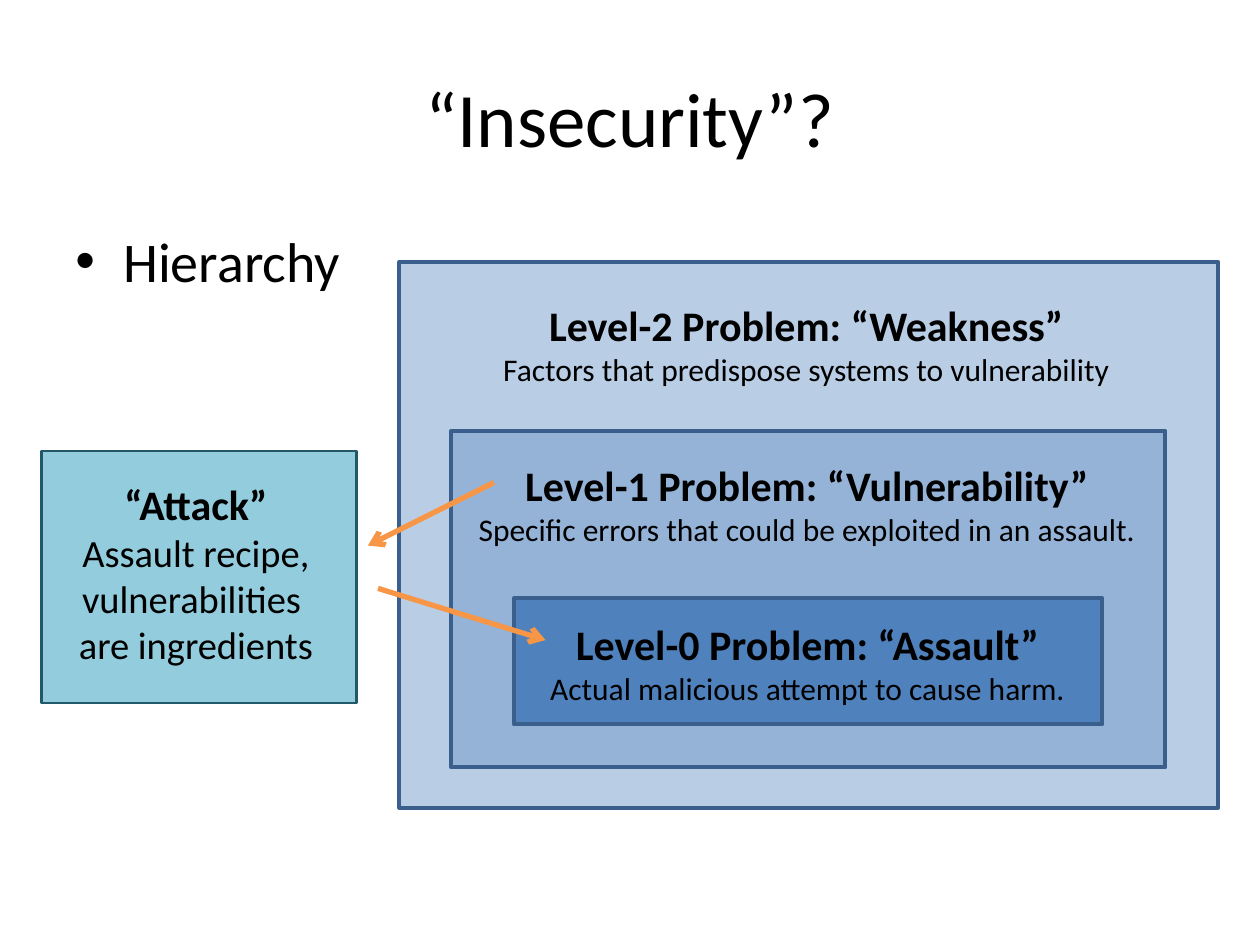
from dataclasses import dataclass

from lxml import etree
from pptx import Presentation
from pptx.dml.color import RGBColor
from pptx.enum.shapes import MSO_CONNECTOR, MSO_SHAPE
from pptx.enum.text import MSO_ANCHOR, MSO_AUTO_SIZE, PP_ALIGN
from pptx.oxml.ns import qn
from pptx.slide import Slide
from pptx.text.text import TextFrame, _Paragraph
from pptx.util import Inches, Pt

RECTANGLE = MSO_SHAPE.RECTANGLE
STRAIGHT = MSO_CONNECTOR.STRAIGHT
CENTER, LEFT = PP_ALIGN.CENTER, PP_ALIGN.LEFT
MIDDLE, TOP = MSO_ANCHOR.MIDDLE, MSO_ANCHOR.TOP
FIT_SHAPE, NO_FIT = MSO_AUTO_SIZE.SHAPE_TO_FIT_TEXT, MSO_AUTO_SIZE.NONE


@dataclass(frozen=True)
class Theme:
    font: str = "Calibri"
    text: str = "000000"
    attack_fill: str = "93CDDD"
    attack_line: str = "215968"
    level_fills: tuple[str, ...] = ("4F81BD", "95B3D7", "B9CDE5")
    level_line: str = "3A5F8C"
    arrow: str = "F79646"
    title_size: float = 44
    bullet_size: float = 32
    heading_size: float = 24
    attack_size: float = 22
    detail_size: float = 18
    attack_width: float = 1.5
    level_width: float = 2.25
    arrow_width: float = 3


@dataclass(frozen=True)
class Area:
    left: float
    top: float
    width: float
    height: float

    def lengths(self) -> list[int]:
        return [Inches(value) for value in (self.left, self.top, self.width, self.height)]


@dataclass(frozen=True)
class Panel:
    area: Area
    fill: str
    line: str
    line_width: float
    label_area: Area
    heading: str
    details: tuple[str, ...]
    detail_size: float


@dataclass(frozen=True)
class Arrow:
    start: tuple[float, float]
    end: tuple[float, float]


THEME = Theme()


def level_panel(level: int, area: Area, label_area: Area, name: str, detail: str) -> Panel:
    return Panel(area, THEME.level_fills[level], THEME.level_line, THEME.level_width,
                 label_area, f"Level-{level} Problem: “{name}”", (detail,), THEME.detail_size)


PANELS = (
    Panel(Area(0.33, 3.58, 2.5, 2), THEME.attack_fill, THEME.attack_line, THEME.attack_width,
          Area(0.5, 3.75, 2.11, 1.62), "“Attack”",
          ("Assault recipe,", "vulnerabilities ", "are ingredients"), THEME.attack_size),
    level_panel(2, Area(3.17, 2.08, 6.5, 4.33), Area(3.82, 2.33, 5.16, 0.81),
                "Weakness", "Factors that predispose systems to vulnerability"),
    level_panel(1, Area(3.58, 3.42, 5.67, 2.67), Area(3.67, 3.6, 5.47, 0.81),
                "Vulnerability", "Specific errors that could be exploited in an assault."),
    level_panel(0, Area(4.08, 4.75, 4.67, 1), Area(4.21, 4.86, 4.4, 0.81),
                "Assault", "Actual malicious attempt to cause harm."),
)
ARROWS = (Arrow((3.92, 3.83), (2.92, 4.33)), Arrow((3, 4.67), (4.33, 5.08)))


def add_span(para: _Paragraph, text: str, size: float, bold: bool = False) -> None:
    span = para.add_run()
    span.text = text
    span.font.name = THEME.font
    span.font.size = Pt(size)
    span.font.bold = bold
    span.font.color.rgb = RGBColor.from_string(THEME.text)


def add_text_frame(slide: Slide, area: Area, wrap: bool, anchor: MSO_ANCHOR = TOP) -> TextFrame:
    frame = slide.shapes.add_textbox(*area.lengths()).text_frame
    frame.word_wrap = wrap
    frame.auto_size = NO_FIT if wrap else FIT_SHAPE
    frame.vertical_anchor = anchor
    return frame


def add_title(slide: Slide, text: str) -> None:
    para = add_text_frame(slide, Area(0.5, 0.3, 9, 1.25), True, MIDDLE).paragraphs[0]
    para.alignment = CENTER
    add_span(para, text, THEME.title_size)


def add_bullet(slide: Slide, text: str) -> None:
    para = add_text_frame(slide, Area(0.5, 1.75, 9, 4.95), True).paragraphs[0]
    para.alignment = LEFT
    properties = para._p.get_or_add_pPr()
    properties.set("marL", str(Inches(0.38)))
    properties.set("indent", str(Inches(-0.38)))
    etree.SubElement(properties, qn("a:buFont"), typeface="Arial")
    etree.SubElement(properties, qn("a:buChar"), char="•")
    add_span(para, text, THEME.bullet_size)


def add_panel(slide: Slide, panel: Panel) -> None:
    box = slide.shapes.add_shape(RECTANGLE, *panel.area.lengths())
    box.shadow.inherit = False
    box.fill.solid()
    box.fill.fore_color.rgb = RGBColor.from_string(panel.fill)
    box.line.color.rgb = RGBColor.from_string(panel.line)
    box.line.width = Pt(panel.line_width)


def add_label(slide: Slide, panel: Panel) -> None:
    frame = add_text_frame(slide, panel.label_area, False)
    heading = frame.paragraphs[0]
    heading.alignment = CENTER
    add_span(heading, panel.heading, THEME.heading_size, bold=True)
    detail = frame.add_paragraph()
    detail.alignment = CENTER
    for index, line in enumerate(panel.details):
        if index:
            detail.add_line_break()
        add_span(detail, line, panel.detail_size)


def add_arrow(slide: Slide, arrow: Arrow) -> None:
    ends = [Inches(value) for value in (*arrow.start, *arrow.end)]
    connector = slide.shapes.add_connector(STRAIGHT, *ends)
    connector.line.color.rgb = RGBColor.from_string(THEME.arrow)
    connector.line.width = Pt(THEME.arrow_width)
    etree.SubElement(connector.line._get_or_add_ln(), qn("a:tailEnd"), type="arrow")
    etree.SubElement(connector._element.spPr, qn("a:effectLst"))


def main() -> None:
    deck = Presentation()
    deck.slide_width, deck.slide_height = Inches(10), Inches(7.5)
    page = deck.slides.add_slide(deck.slide_layouts[6])
    for panel in PANELS:
        add_panel(page, panel)
    add_title(page, "“Insecurity”?")
    add_bullet(page, "Hierarchy")
    for panel in PANELS:
        add_label(page, panel)
    for arrow in ARROWS:
        add_arrow(page, arrow)
    deck.save("out.pptx")


if __name__ == "__main__":
    main()
